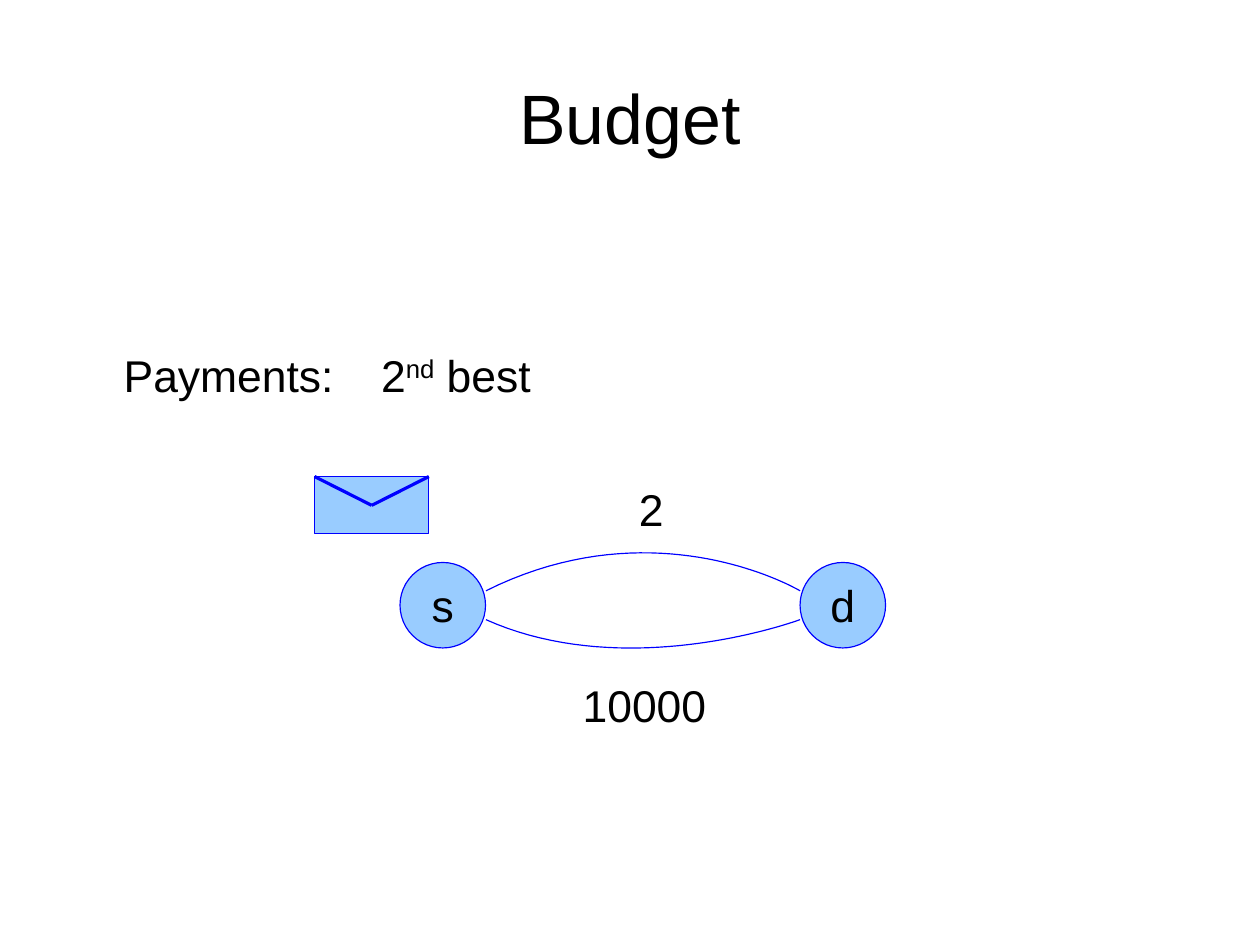
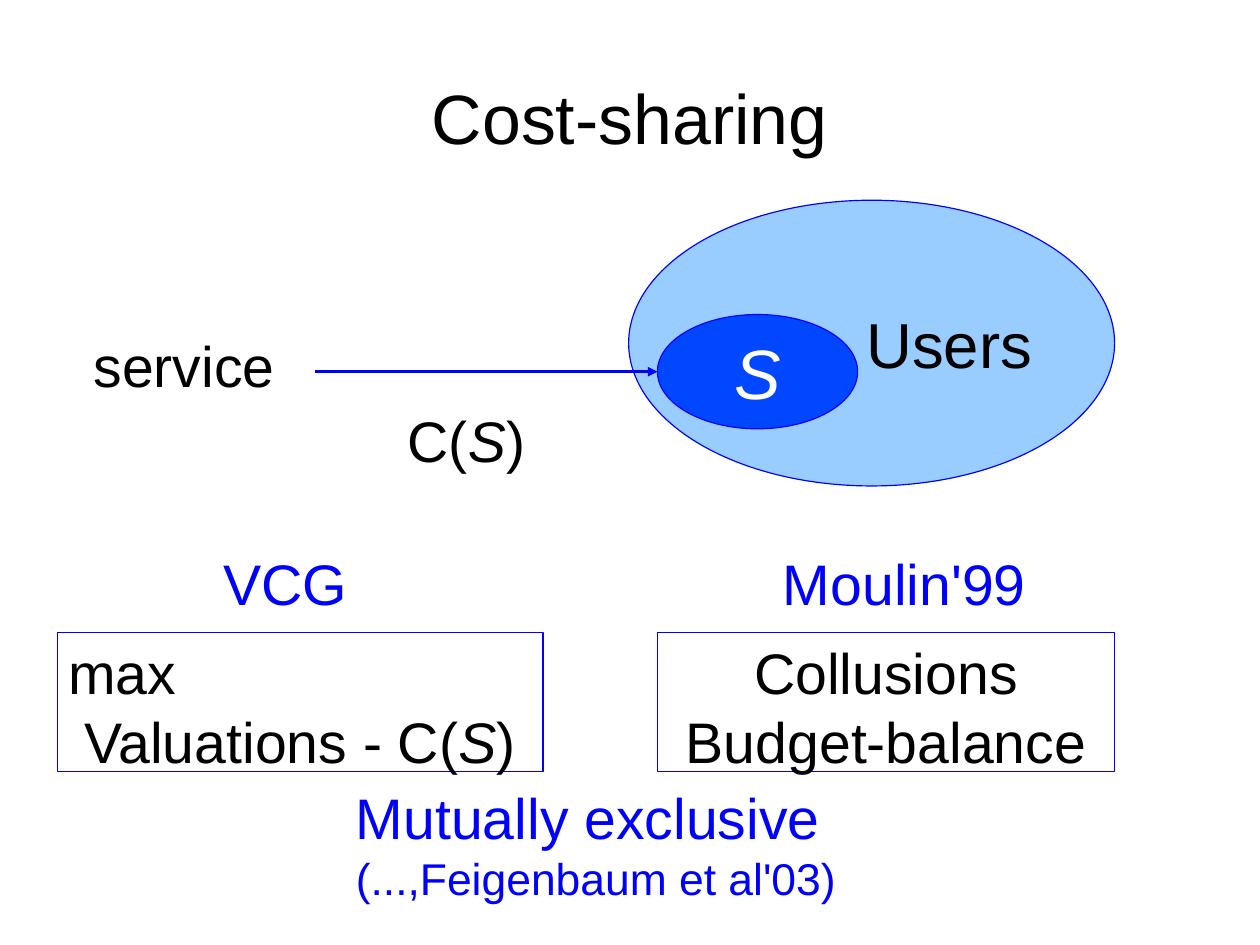
"""Build two slides on budgets and cost-sharing."""
from dataclasses import dataclass
from typing import Optional

import lxml.etree
import pptx
import pptx.dml.color
import pptx.enum.shapes
import pptx.enum.text
import pptx.oxml.ns
import pptx.util

FONT = "Arial"
COLOURS = {
    "black": "000000",
    "white": "FFFFFF",
    "edge": "0000FF",
    "pale": "99CCFF",
    "deep": "0047FF",
}
OVAL = pptx.enum.shapes.MSO_SHAPE.OVAL
BLOCK = pptx.enum.shapes.MSO_SHAPE.RECTANGLE
LEFT = pptx.enum.text.PP_ALIGN.LEFT
CENTRE = pptx.enum.text.PP_ALIGN.CENTER
RIGHT = pptx.enum.text.PP_ALIGN.RIGHT
STEPS = 40


@dataclass(frozen=True)
class Run:
    text: str
    size: float = 36
    colour: str = "black"
    slant: bool = False
    raised: bool = False


@dataclass(frozen=True)
class Line:
    runs: tuple[Run, ...]
    align: int = CENTRE


@dataclass(frozen=True)
class Box:
    left: float
    top: float
    width: float
    height: float
    lines: tuple[Line, ...] = ()
    kind: Optional[int] = None
    fill: Optional[str] = None
    middle: bool = False


@dataclass(frozen=True)
class Curve:
    start: tuple[float, float]
    bend: tuple[float, float]
    end: tuple[float, float]


@dataclass(frozen=True)
class Stroke:
    start: tuple[float, float]
    end: tuple[float, float]
    arrow: bool = False


def tint(name: str) -> pptx.dml.color.RGBColor:
    return pptx.dml.color.RGBColor.from_string(COLOURS[name])


def trace(shape) -> None:
    shape.line.color.rgb = tint("edge")
    shape.line.width = pptx.util.Pt(0)


def write(frame, box: Box) -> None:
    frame.word_wrap = True
    anchor = pptx.enum.text.MSO_ANCHOR
    frame.vertical_anchor = anchor.MIDDLE if box.middle else anchor.TOP
    for place, line in enumerate(box.lines):
        para = frame.add_paragraph() if place else frame.paragraphs[0]
        para.alignment = line.align
        for part in line.runs:
            run = para.add_run()
            run.text = part.text
            run.font.name = FONT
            run.font.size = pptx.util.Pt(part.size)
            run.font.italic = part.slant
            run.font.color.rgb = tint(part.colour)
            if part.raised:
                run.font._element.set("baseline", "33000")


def draw_box(slide, box: Box) -> None:
    frame = [pptx.util.Cm(n) for n in (box.left, box.top, box.width, box.height)]
    if box.kind is None:
        shape = slide.shapes.add_textbox(*frame)
    else:
        shape = slide.shapes.add_shape(box.kind, *frame)
        shape.shadow.inherit = False
        trace(shape)
        if box.fill:
            shape.fill.solid()
            shape.fill.fore_color.rgb = tint(box.fill)
        else:
            shape.fill.background()
    if box.lines:
        write(shape.text_frame, box)


def draw_curve(slide, curve: Curve) -> None:
    points = []
    for step in range(STEPS + 1):
        t = step / STEPS
        near, mid = (1 - t) ** 3, 3 * t * (1 - t) ** 2
        far = 1 - near - mid
        points.append(tuple(
            pptx.util.Cm(near * a + mid * b + far * c)
            for a, b, c in zip(curve.start, curve.bend, curve.end)
        ))
    pen = slide.shapes.build_freeform(*points[0])
    pen.add_line_segments(points[1:], close=False)
    shape = pen.convert_to_shape()
    shape.shadow.inherit = False
    shape.fill.background()
    trace(shape)


def draw_stroke(slide, stroke: Stroke) -> None:
    ends = [pptx.util.Cm(n) for n in stroke.start + stroke.end]
    line = slide.shapes.add_connector(pptx.enum.shapes.MSO_CONNECTOR.STRAIGHT, *ends)
    trace(line)
    qn = pptx.oxml.ns.qn
    if stroke.arrow:
        edge = line.line._get_or_add_ln()
        lxml.etree.SubElement(edge, qn("a:tailEnd")).set("type", "triangle")
    lxml.etree.SubElement(line._element.spPr, qn("a:effectLst"))


def add_slide(deck, title: str, items: tuple) -> None:
    slide = deck.slides.add_slide(deck.slide_layouts[6])
    head = Box(1.4, 0.97, 25.2, 3.25, (Line((Run(title, 44),)),), middle=True)
    tools = {Box: draw_box, Curve: draw_curve, Stroke: draw_stroke}
    for item in (head, *items):
        tools[type(item)](slide, item)


def plain(text: str, size: float = 36, colour: str = "black", align: int = CENTRE) -> Line:
    return Line((Run(text, size, colour),), align)


def cost(lead: str, align: int) -> Line:
    return Line((Run(lead + "C("), Run("S", slant=True), Run(")")), align)


def node(left: float, name: str) -> Box:
    return Box(left, 12.5, 1.9, 1.9, (plain(name, 28),), OVAL, "pale", True)


BUDGET = (
    node(8.89, "s"),
    node(17.78, "d"),
    Curve((10.8, 13.13), (14.6, 11.23), (17.78, 13.13)),
    Curve((10.8, 13.77), (13.97, 15.19), (17.78, 13.77)),
    Box(13.47, 10.59, 2, 1.35, (plain("2", 28),)),
    Box(12.07, 14.94, 4.5, 1.35, (plain("10000", 28),)),
    Box(6.99, 10.59, 2.54, 1.27, kind=BLOCK, fill="pale"),
    Stroke((6.99, 10.59), (8.26, 11.23)),
    Stroke((9.53, 10.59), (8.26, 11.23)),
    Box(1.27, 7.62, 7.62, 1.4, (plain("Payments:", 28),)),
    Box(6.93, 7.62, 6.4, 1.4, (
        Line((Run("2", 28), Run("nd", 28, raised=True), Run(" best", 28))),
    )),
)

SHARING = (
    Box(13.97, 4.45, 10.8, 6.35, (plain("Users", 40, align=RIGHT),), OVAL, "pale", True),
    Box(14.61, 6.99, 4.45, 2.54, (
        Line((Run("S", 44, "white", True),)),
    ), OVAL, "deep", True),
    Box(1.83, 7.21, 5, 1.68, (plain("service", align=LEFT),)),
    Stroke((6.99, 8.26), (14.61, 8.26), True),
    Box(8.81, 8.89, 4.52, 1.68, (cost("", LEFT),)),
    Box(1.27, 14.05, 10.8, 3.1, (
        plain("max", align=LEFT),
        cost("Valuations - ", CENTRE),
    ), BLOCK),
    Box(4.72, 12.07, 3.53, 1.68, (plain("VCG", colour="edge", align=LEFT),)),
    Box(14.61, 14.05, 10.16, 3.1, (
        plain("Collusions"),
        plain("Budget-balance"),
    ), BLOCK),
    Box(17.15, 12.07, 6.35, 1.68, (plain("Moulin'99", colour="edge", align=LEFT),)),
    Box(2.74, 17.27, 21, 2.77, (
        plain("Mutually exclusive ", colour="edge"),
        plain("(...,Feigenbaum et al'03)", 28, "edge"),
    )),
)


def main() -> None:
    deck = pptx.Presentation()
    deck.slide_width = pptx.util.Cm(28)
    deck.slide_height = pptx.util.Cm(21)
    add_slide(deck, "Budget", BUDGET)
    add_slide(deck, "Cost-sharing", SHARING)
    deck.save("out.pptx")


if __name__ == "__main__":
    main()
